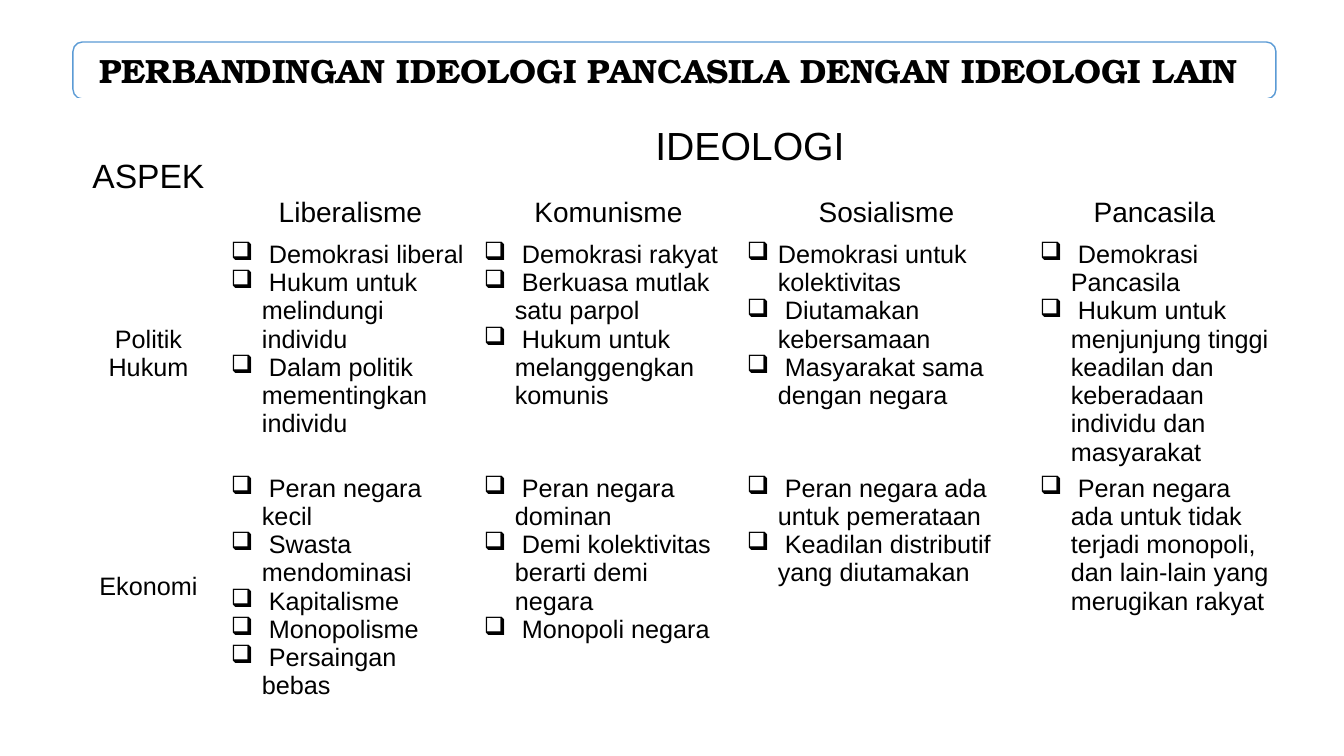
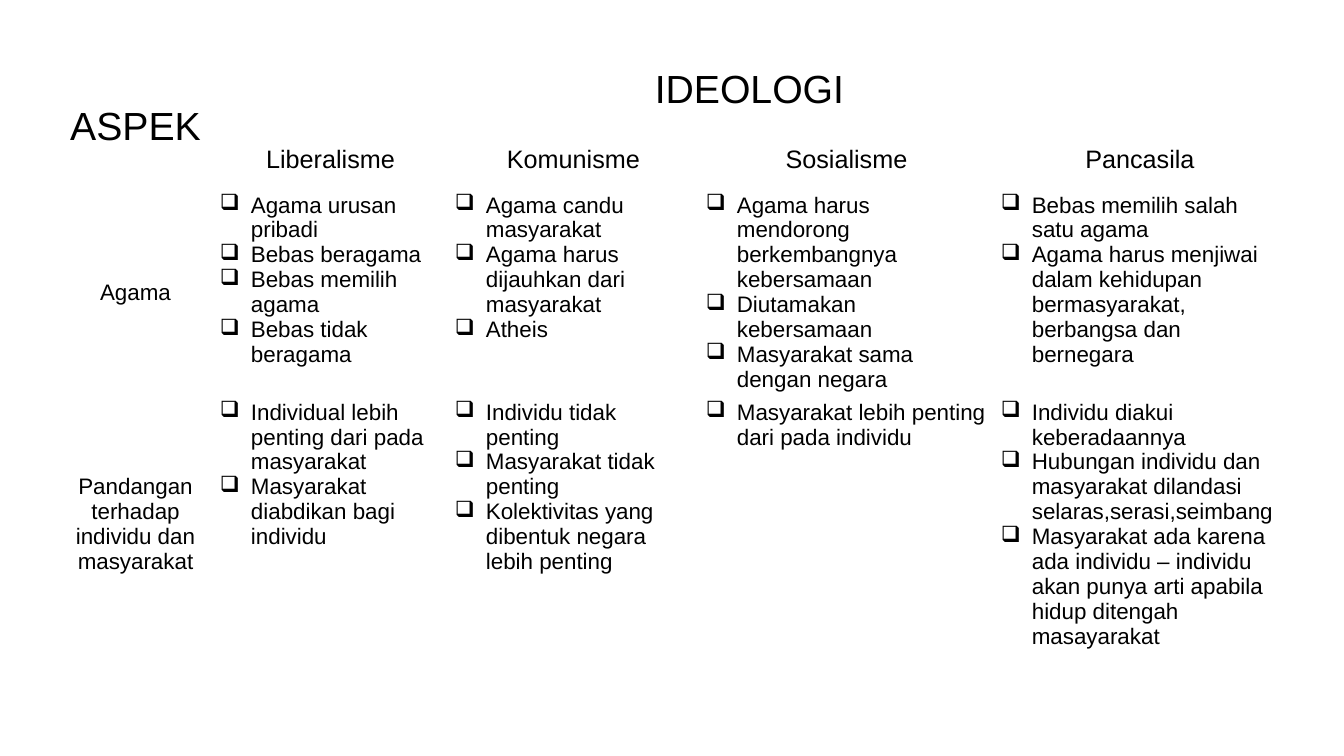
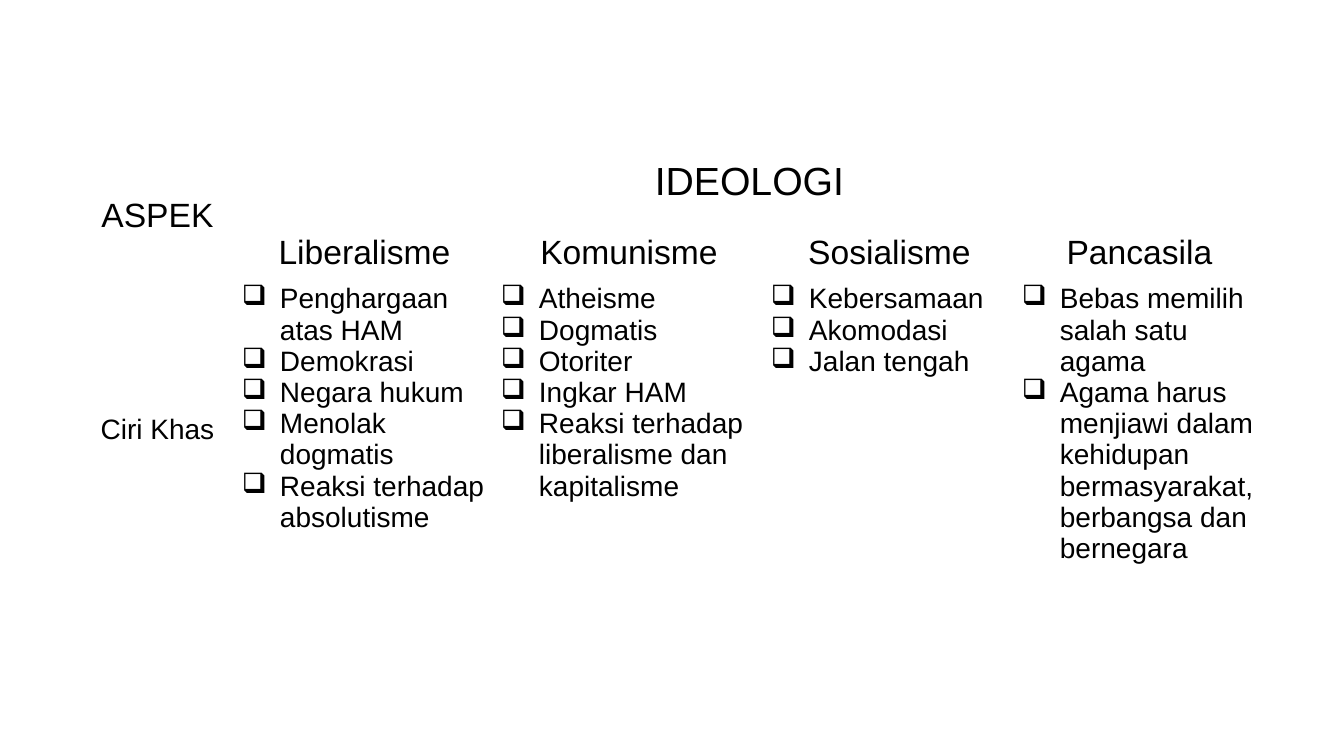
from pptx import Presentation, util as u
from pptx.dml.color import RGBColor
from pptx.enum import shapes, text
from lxml import etree

PX = 9144000 / 1008
NS = "http://schemas.openxmlformats.org/drawingml/2006/main"


class Theme:
    ink = RGBColor(0, 0, 0)
    paper = RGBColor(255, 255, 255)
    edge = RGBColor(0x5B, 0x9B, 0xD5)
    body = "Arial"
    serif = "TeX Gyre Bonum"
    title = 24
    group = 28
    mark = "❑"
    heads = ["Liberalisme", "Komunisme", "Sosialisme", "Pancasila"]


def px(n):
    return u.Emu(round(n * PX))


def fill(cell, lines, size, space=None, indent=0):
    cell.fill.background()
    cell.margin_left = cell.margin_right = px(7)
    cell.margin_top = cell.margin_bottom = px(4)
    if not indent:
        cell.vertical_anchor = text.MSO_ANCHOR.MIDDLE
    cell.text_frame.text = "\n".join(lines)
    for para in cell.text_frame.paragraphs:
        para.alignment = text.PP_ALIGN.LEFT if indent else text.PP_ALIGN.CENTER
        if space:
            para.line_spacing = space
        for run in para.runs:
            run.font.size = u.Pt(size)
            run.font.name = Theme.body
            run.font.color.rgb = Theme.ink
        if indent:
            prop = para._p.get_or_add_pPr()
            prop.set("marL", str(px(indent)))
            prop.set("indent", str(-px(indent)))
            tint = etree.SubElement(prop, f"{{{NS}}}buClr")
            etree.SubElement(tint, f"{{{NS}}}srgbClr", val=str(Theme.ink))
            etree.SubElement(prop, f"{{{NS}}}buChar", char=Theme.mark)


pages = [
    dict(
        title="PERBANDINGAN IDEOLOGI PANCASILA DENGAN IDEOLOGI LAIN ",
        at=(73, 99), cols=[151, 253, 263, 293, 243], rows=[62, 43, 220, 173],
        aspect=24, head=20, body=18, indent=31,
        data=[
            ("Politik Hukum", [
                [" Demokrasi liberal", " Hukum untuk melindungi individu",
                 " Dalam politik mementingkan individu"],
                [" Demokrasi rakyat", " Berkuasa mutlak satu parpol",
                 " Hukum untuk melanggengkan komunis"],
                ["Demokrasi untuk kolektivitas", " Diutamakan kebersamaan",
                 " Masyarakat sama dengan negara"],
                [" Demokrasi Pancasila",
                 " Hukum untuk menjunjung tinggi keadilan dan keberadaan individu dan masyarakat"],
            ]),
            ("Ekonomi", [
                [" Peran negara kecil", " Swasta mendominasi", " Kapitalisme",
                 " Monopolisme", " Persaingan bebas"],
                [" Peran negara dominan", " Demi kolektivitas berarti demi negara",
                 " Monopoli negara"],
                [" Peran negara ada untuk pemerataan",
                 " Keadilan distributif yang diutamakan"],
                [" Peran negara ada untuk tidak terjadi monopoli, dan lain-lain yang merugikan rakyat"],
            ]),
        ],
    ),
    dict(
        title=None,
        at=(58, 42), cols=[155, 235, 251, 295, 292], rows=[45, 45, 190, 257],
        aspect=28, head=18, body=16, indent=31,
        data=[
            ("Agama", [
                ["Agama urusan pribadi", "Bebas beragama", "Bebas memilih agama",
                 "Bebas tidak beragama"],
                ["Agama candu masyarakat", "Agama harus dijauhkan dari masyarakat",
                 "Atheis"],
                ["Agama harus mendorong berkembangnya kebersamaan",
                 "Diutamakan kebersamaan", "Masyarakat sama dengan negara"],
                ["Bebas memilih salah satu agama",
                 "Agama harus menjiwai dalam kehidupan bermasyarakat, berbangsa dan bernegara"],
            ]),
            ("Pandangan terhadap individu dan masyarakat", [
                ["Individual lebih penting dari pada masyarakat",
                 "Masyarakat diabdikan bagi individu"],
                ["Individu tidak penting", "Masyarakat tidak penting",
                 "Kolektivitas yang dibentuk negara lebih penting"],
                ["Masyarakat lebih penting dari pada individu"],
                ["Individu diakui keberadaannya",
                 "Hubungan individu dan masyarakat dilandasi selaras,serasi,seimbang",
                 "Masyarakat ada karena ada individu – individu akan punya arti apabila hidup ditengah masayarakat"],
            ]),
        ],
    ),
    dict(
        title=None,
        at=(80, 134), cols=[155, 259, 270, 251, 249], rows=[72, 72, 300],
        aspect=24, head=24, body=20, indent=38,
        data=[
            ("Ciri Khas", [
                ["Penghargaan atas HAM", "Demokrasi", "Negara hukum",
                 "Menolak dogmatis", "Reaksi terhadap absolutisme"],
                ["Atheisme", "Dogmatis", "Otoriter", "Ingkar HAM",
                 "Reaksi terhadap liberalisme dan kapitalisme"],
                ["Kebersamaan", "Akomodasi", "Jalan tengah"],
                ["Bebas memilih salah satu agama",
                 "Agama harus menjiawi dalam kehidupan bermasyarakat, berbangsa dan bernegara"],
            ]),
        ],
    ),
]

deck = Presentation()
deck.slide_width, deck.slide_height = px(1344), px(756)

for page in pages:
    slide = deck.slides.add_slide(deck.slide_layouts[5 if page["title"] else 6])

    if page["title"]:
        box = [px(n) for n in (73, 42, 1203, 57)]
        band = slide.shapes.add_shape(shapes.MSO_SHAPE.ROUNDED_RECTANGLE, *box)
        band.shadow.inherit = False
        band.fill.solid()
        band.fill.fore_color.rgb = Theme.paper
        band.line.color.rgb = Theme.edge
        band.line.width = u.Pt(1)
        title = slide.shapes.title
        title.left, title.top, title.width, title.height = box
        slide.shapes._spTree.append(title._element)
        frame = title.text_frame
        frame.text = page["title"]
        frame.word_wrap = True
        frame.auto_size = text.MSO_AUTO_SIZE.NONE
        frame.vertical_anchor = text.MSO_ANCHOR.MIDDLE
        frame.paragraphs[0].alignment = text.PP_ALIGN.CENTER
        font = frame.paragraphs[0].runs[0].font
        font.name, font.size, font.bold = Theme.serif, u.Pt(Theme.title), True
        font.color.rgb = Theme.ink

    cols, rows = page["cols"], page["rows"]
    size = sum(cols), sum(rows)
    grid = slide.shapes.add_table(
        len(rows), len(cols), *[px(n) for n in page["at"] + size]).table
    grid.first_row = grid.horz_banding = False
    for col, wide in zip(grid.columns, cols):
        col.width = px(wide)
    for row, high in zip(grid.rows, rows):
        row.height = px(high)
    for cell in grid.iter_cells():
        cell.fill.background()

    grid.cell(0, 0).merge(grid.cell(1, 0))
    grid.cell(0, 1).merge(grid.cell(0, 4))
    fill(grid.cell(0, 0), ["ASPEK"], page["aspect"], 1.5)
    fill(grid.cell(0, 1), ["IDEOLOGI"], Theme.group, 1.5)
    for c, head in enumerate(Theme.heads, 1):
        fill(grid.cell(1, c), [head], page["head"], 1.5)
    for r, (label, lists) in enumerate(page["data"], 2):
        fill(grid.cell(r, 0), [label], page["body"])
        for c, lines in enumerate(lists, 1):
            fill(grid.cell(r, c), lines, page["body"], indent=page["indent"])

deck.save("out.pptx")
